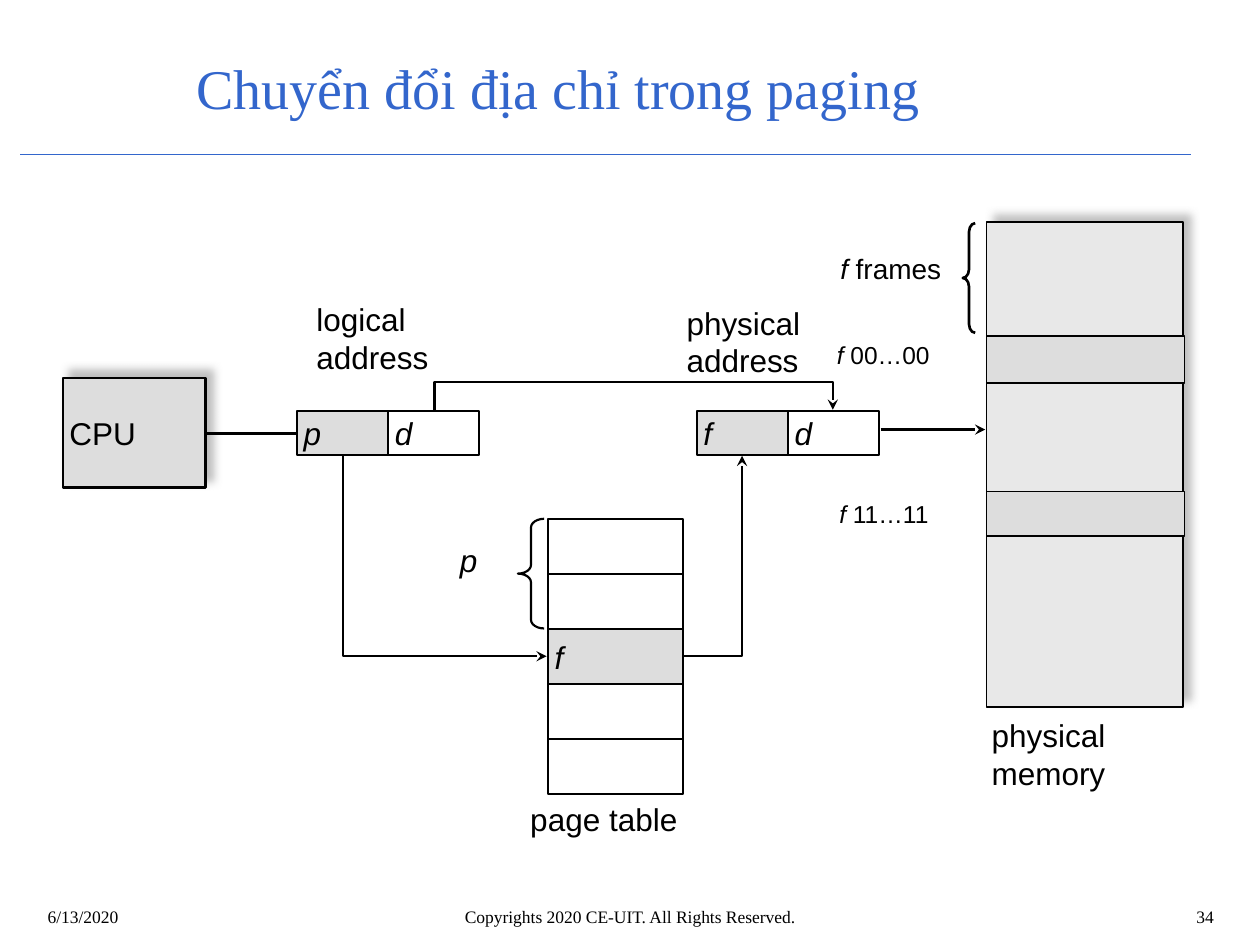
from pptx import Presentation
from pptx.dml.color import RGBColor
from pptx.enum.shapes import MSO_CONNECTOR, MSO_SHAPE
from pptx.enum.text import MSO_ANCHOR, PP_ALIGN
from pptx.oxml import parse_xml
from pptx.oxml.ns import nsdecls
from pptx.util import Cm, Pt

theme = {
    "ink": RGBColor(0, 0, 0),
    "blue": RGBColor(0x33, 0x66, 0xCC),
    "shaded": RGBColor(0xDD, 0xDD, 0xDD),
    "memory": RGBColor(0xE8, 0xE8, 0xE8),
    "serif": "Times New Roman",
    "sans": "Arial",
    "title": Pt(32), "label": Pt(18), "frames": Pt(16), "address": Pt(14), "footer": Pt(10),
    "line": Pt(1.25),
}
SHADOW = (f'<a:effectLst {nsdecls("a")}><a:outerShdw blurRad="63500" dist="72390" dir="18900000" '
          'algn="ctr" rotWithShape="0"><a:srgbClr val="808080"><a:alpha val="50000"/></a:srgbClr>'
          '</a:outerShdw></a:effectLst>')
NO_EFFECT = f'<a:effectLst {nsdecls("a")}/>'
ARROW = f'<a:tailEnd {nsdecls("a")} type="stealth"/>'


def write(shape, lines, size, font=theme["sans"], color=theme["ink"], align=PP_ALIGN.LEFT,
          anchor=MSO_ANCHOR.TOP, inset=(0, 0)):
    """Write lines of (text, italic) spans into a shape."""
    frame = shape.text_frame
    frame.word_wrap = True
    frame.vertical_anchor = anchor
    frame.margin_left = frame.margin_right = Cm(inset[0])
    frame.margin_top = frame.margin_bottom = Cm(inset[1])
    for index, spans in enumerate(lines):
        para = frame.paragraphs[0] if index == 0 else frame.add_paragraph()
        para.alignment = align
        para.font.size, para.font.name, para.font.color.rgb = size, font, color
        for text, italic in spans:
            span = para.add_run()
            span.text = text
            if italic:
                span.font.italic = True


def draw_box(left, top, width, height, fill=None, weight=theme["line"], kind=MSO_SHAPE.RECTANGLE):
    """Add an outlined shape, hollow unless a fill is given."""
    box = page.shapes.add_shape(kind, Cm(left), Cm(top), Cm(width), Cm(height))
    box.shadow.inherit = False
    if fill is None:
        box.fill.background()
    else:
        box.fill.solid()
        box.fill.fore_color.rgb = fill
    box.line.color.rgb, box.line.width = theme["ink"], weight
    return box


deck = Presentation()
deck.slide_width, deck.slide_height = Cm(25.4), Cm(19.05)
page = deck.slides.add_slide(deck.slide_layouts[6])

# Title and footer
title = page.shapes.add_textbox(Cm(3.71), Cm(0.79), Cm(20.42), Cm(1.93))
write(title, [[("Chuyển đổi địa chỉ trong paging", False)]], theme["title"], theme["serif"],
      theme["blue"], anchor=MSO_ANCHOR.MIDDLE, inset=(0.25, 0.13))
for text, left, width, align in [
    ("6/13/2020", 0.71, 5.92, PP_ALIGN.LEFT),
    ("Copyrights 2020 CE-UIT. All Rights Reserved.", 4.9, 15.6, PP_ALIGN.CENTER),
    ("34", 19.84, 4.88, PP_ALIGN.RIGHT),
]:
    footer = page.shapes.add_textbox(Cm(left), Cm(18.14), Cm(width), Cm(0.81))
    write(footer, [[(text, False)]], theme["footer"], theme["serif"], align=align,
          inset=(0.25, 0.13))

# CPU and physical memory, both with a shadow
cpu = draw_box(1.27, 7.62, 2.87, 2.21, theme["shaded"], Pt(1.5))
write(cpu, [[("CPU", False)]], theme["label"], anchor=MSO_ANCHOR.MIDDLE, inset=(0.13, 0))
memory = draw_box(19.89, 4.47, 3.96, 9.78, theme["memory"], Pt(1))
for block in (cpu, memory):
    properties = block.element.spPr
    properties.remove(properties.find("{*}effectLst"))
    properties.append(parse_xml(SHADOW))
for top, height in [(6.78, 0.94), (9.91, 0.89)]:
    draw_box(19.89, top, 3.99, height, theme["shaded"], Pt(1))

# Logical and physical address cells
for left, first in [(5.99, "p"), (14.05, "f")]:
    for column, (name, fill) in enumerate([(first, theme["shaded"]), ("d", None)]):
        cell = draw_box(left + column * 1.84, 8.28, 1.83, 0.89, fill)
        write(cell, [[(name, True)]], theme["label"], anchor=MSO_ANCHOR.MIDDLE, inset=(0.13, 0))

# Page table
for row in range(5):
    entry = draw_box(11.05, 10.46 + row * 1.11, 2.72, 1.11, theme["shaded"] if row == 2 else None)
    if row == 2:
        write(entry, [[("f", True)]], theme["label"], anchor=MSO_ANCHOR.MIDDLE, inset=(0.13, 0))

# Braces
for left, top, width, curve, weight in [(10.44, 10.46, 0.53, 0.33, theme["line"]),
                                        (19.41, 4.5, 0.25, 0.7, Pt(1.5))]:
    brace = draw_box(left, top, width, 2.21, weight=weight, kind=MSO_SHAPE.LEFT_BRACE)
    brace.adjustments[0] = curve

# Straight lines
for start, end, y, color, weight, has_arrow in [
    (0.41, 24, 3.12, theme["blue"], Pt(0.75), False),
    (4.17, 5.97, 8.74, theme["ink"], theme["line"], False),
    (17.75, 19.86, 8.66, theme["ink"], theme["line"], True),
]:
    line = page.shapes.add_connector(MSO_CONNECTOR.STRAIGHT, Cm(start), Cm(y), Cm(end), Cm(y))
    line.line.color.rgb, line.line.width = color, weight
    line.element.spPr.append(parse_xml(NO_EFFECT))
    if has_arrow:
        line.line._get_or_add_ln().append(parse_xml(ARROW))

# Bent arrows: offset, page number, frame number
for points in [
    [(8.76, 8.26), (8.76, 7.7), (16.79, 7.7), (16.79, 8.26)],
    [(6.91, 9.19), (6.91, 13.23), (11.02, 13.23)],
    [(13.79, 13.23), (14.96, 13.23), (14.96, 9.19)],
]:
    corners = [(Cm(x), Cm(y)) for x, y in points]
    builder = page.shapes.build_freeform(*corners[0])
    builder.add_line_segments(corners[1:], close=False)
    route = builder.convert_to_shape()
    route.shadow.inherit = False
    route.fill.background()
    route.line.color.rgb, route.line.width = theme["ink"], theme["line"]
    route.line._get_or_add_ln().append(parse_xml(ARROW))

# Labels
for left, top, width, height, size, lines in [
    (9.27, 10.9, 0.64, 1.02, "label", [[("p", True)]]),
    (10.69, 16.13, 3.25, 1.02, "label", [[("page table", False)]]),
    (6.38, 6.05, 2.72, 1.8, "label", [[("logical", False)], [("address", False)]]),
    (13.84, 6.12, 2.95, 1.8, "label", [[("physical", False)], [("address", False)]]),
    (19.99, 14.43, 3.4, 1.8, "label", [[("physical", False)], [("memory", False)]]),
    (16.94, 5.08, 2.31, 0.91, "frames", [[("f", True), (" frames", False)]]),
    (16.87, 6.86, 2.1, 0.6, "address", [[("f ", True), ("00…00", False)]]),
    (16.92, 10.06, 2.1, 0.6, "address", [[("f ", True), ("11…11", False)]]),
]:
    label = page.shapes.add_textbox(Cm(left), Cm(top), Cm(width), Cm(height))
    write(label, lines, theme[size])

deck.save("out.pptx")
